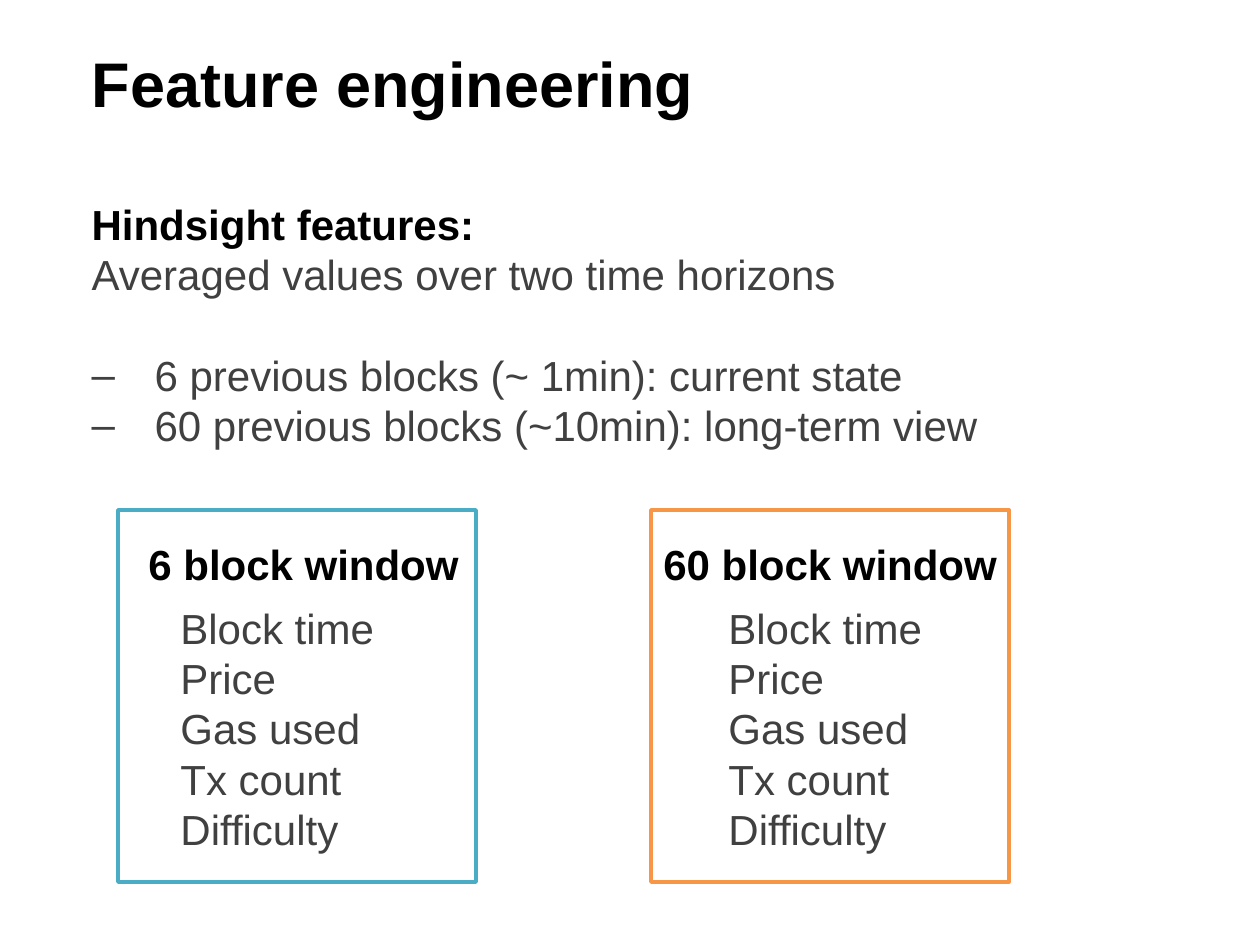
from dataclasses import dataclass

import pptx
import pptx.dml.color
import pptx.enum.shapes
import pptx.enum.text
import pptx.util
from lxml import etree

RGBColor = pptx.dml.color.RGBColor
BLACK = RGBColor(0x00, 0x00, 0x00)
GRAY = RGBColor(0x40, 0x40, 0x40)
BLUE = RGBColor(0x4B, 0xAC, 0xC6)
ORANGE = RGBColor(0xF7, 0x96, 0x46)

PX_PER_INCH = 126
FONT = "Arial"
LINE_PITCH = 28.8
DRAWING_NS = "http://schemas.openxmlformats.org/drawingml/2006/main"
FEATURES = ["Block time", "Price", "Gas used", "Tx count", "Difficulty"]


@dataclass
class Line:
    text: str
    size: int = 24
    color: RGBColor = GRAY
    bold: bool = False
    gap_before: float = 0
    dashed: bool = False


@dataclass
class Window:
    heading: str
    color: RGBColor
    left: int
    heading_left: int
    heading_width: int
    list_left: int


def px(length: int) -> int:
    return round(length * 914400 / PX_PER_INCH)


def place(shape, left: int, top: int, width: int, height: int) -> None:
    shape.left, shape.top = px(left), px(top)
    shape.width, shape.height = px(width), px(height)


def set_bullet(para, dashed: bool) -> None:
    properties = para._p.get_or_add_pPr()
    indent = px(63) if dashed else 0
    properties.set("marL", str(indent))
    properties.set("indent", str(-indent))
    tag = "buChar" if dashed else "buNone"
    bullet = etree.SubElement(properties, f"{{{DRAWING_NS}}}{tag}")
    if dashed:
        bullet.set("char", "–")


def write_lines(shape, lines: list[Line], wrap: bool = True) -> None:
    frame = shape.text_frame
    frame.word_wrap = wrap
    frame.auto_size = pptx.enum.text.MSO_AUTO_SIZE.NONE
    frame.vertical_anchor = pptx.enum.text.MSO_ANCHOR.TOP
    frame.text = "\n".join(line.text for line in lines)
    for para, line in zip(frame.paragraphs, lines):
        para.alignment = pptx.enum.text.PP_ALIGN.LEFT
        para.line_spacing = pptx.util.Pt(LINE_PITCH * line.size / 24)
        para.space_before = pptx.util.Pt(line.gap_before)
        set_bullet(para, line.dashed)
        for span in para.runs:
            span.font.name = FONT
            span.font.size = pptx.util.Pt(line.size)
            span.font.bold = line.bold
            span.font.color.rgb = line.color


def add_text(page, left: int, top: int, width: int, height: int,
             lines: list[Line], wrap: bool = True) -> None:
    box = page.shapes.add_textbox(px(left), px(top), px(width), px(height))
    write_lines(box, lines, wrap)


def add_window(page, window: Window) -> None:
    add_text(page, window.list_left, 596, 285, 265,
             [Line(feature) for feature in FEATURES])
    add_text(page, window.heading_left, 532, window.heading_width, 63,
             [Line(window.heading, color=BLACK, bold=True)], wrap=False)
    frame = page.shapes.add_shape(
        pptx.enum.shapes.MSO_SHAPE.RECTANGLE,
        px(window.left), px(510), px(358), px(372))
    frame.shadow.inherit = False
    frame.fill.background()
    frame.line.color.rgb = window.color
    frame.line.width = pptx.util.Pt(2)


def main() -> None:
    deck = pptx.Presentation()
    deck.slide_width, deck.slide_height = px(1260), px(945)
    page = deck.slides.add_slide(deck.slide_layouts[1])

    # Title
    title = page.shapes.title
    place(title, 79, 38, 1125, 90)
    write_lines(title, [Line("Feature engineering", 36, BLACK, True)])

    # Explanation of the two horizons
    body = page.placeholders[1]
    place(body, 79, 192, 1125, 265)
    write_lines(body, [
        Line("Hindsight features:", color=BLACK, bold=True),
        Line("Averaged values over two time horizons"),
        Line("6 previous blocks (~ 1min): current state",
             gap_before=LINE_PITCH, dashed=True),
        Line("60 previous blocks (~10min): long-term view", dashed=True),
    ])

    # Framed feature lists
    for window in (
        Window("6 block window", BLUE, 118, 136, 340, 168),
        Window("60 block window", ORANGE, 651, 651, 363, 716),
    ):
        add_window(page, window)

    deck.save("out.pptx")


if __name__ == "__main__":
    main()
